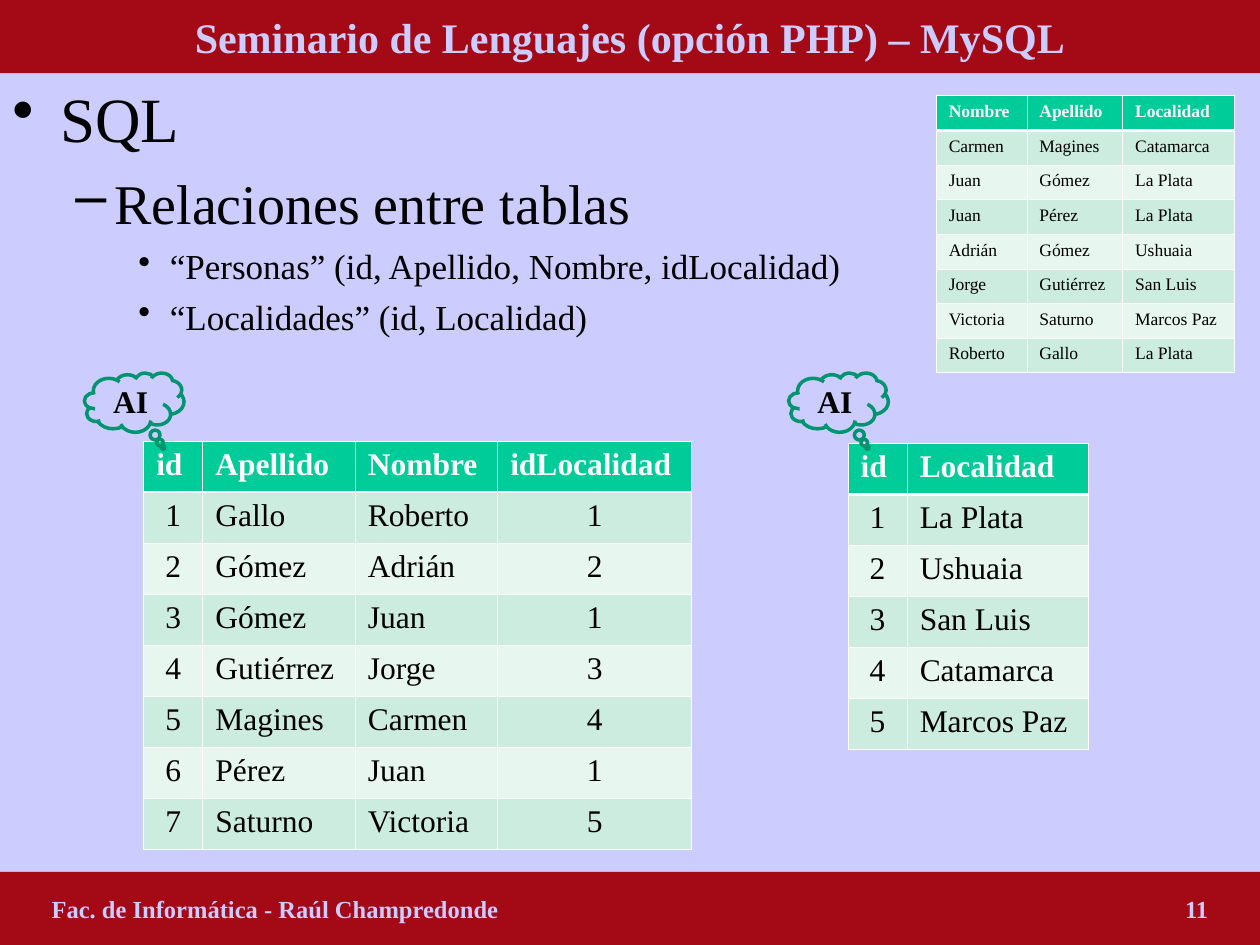
from dataclasses import dataclass

from lxml import etree
from pptx import Presentation
from pptx.dml.color import RGBColor
from pptx.enum.shapes import MSO_SHAPE
from pptx.enum.text import MSO_ANCHOR, PP_ALIGN
from pptx.oxml.ns import qn
from pptx.util import Inches, Pt

RECTANGLE, CLOUD = MSO_SHAPE.RECTANGLE, MSO_SHAPE.CLOUD_CALLOUT
MIDDLE = MSO_ANCHOR.MIDDLE
LEFT, CENTER = PP_ALIGN.LEFT, PP_ALIGN.CENTER
FONT = "Times New Roman"
COLORS = {
    "background": "CCCCFF",
    "band": "A30A16",
    "header": "00CC99",
    "odd_row": "CBECDE",
    "even_row": "E7F6EF",
    "cloud": "00956F",
    "white": "FFFFFF",
    "black": "000000",
}


@dataclass
class Bullet:
    text: str
    size: float
    char: str
    margin: float
    hanging: float
    before: float


@dataclass
class Grid:
    left: float
    top: float
    widths: list[float]
    height: float
    size: float
    centered: set[int]
    rows: list[tuple[str, ...]]


@dataclass
class Band:
    top: float
    text: str
    size: float
    align: PP_ALIGN
    inset: float


BULLETS = [
    Bullet("SQL", 36, "•", 0.38, 0.38, 0),
    Bullet("Relaciones entre tablas", 32, "–", 0.81, 0.31, 8),
    Bullet("“Personas” (id, Apellido, Nombre, idLocalidad)", 20, "•", 1.25, 0.25, 5),
    Bullet("“Localidades” (id, Localidad)", 20, "•", 1.25, 0.25, 5),
]

BANDS = [
    Band(0, "Seminario de Lenguajes (opción PHP) – MySQL", 24, CENTER, 0.1),
    Band(6.92, "Fac. de Informática - Raúl Champredonde\t11", 14, LEFT, 0.41),
]

GRIDS = [
    Grid(1.14, 3.5, [0.47, 1.21, 1.13, 1.54], 3.24, 18, {0, 3}, [
        ("id", "Apellido", "Nombre", "idLocalidad"),
        ("1", "Gallo", "Roberto", "1"),
        ("2", "Gómez", "Adrián", "2"),
        ("3", "Gómez", "Juan", "1"),
        ("4", "Gutiérrez", "Jorge", "3"),
        ("5", "Magines", "Carmen", "4"),
        ("6", "Pérez", "Juan", "1"),
        ("7", "Saturno", "Victoria", "5"),
    ]),
    Grid(6.73, 3.52, [0.47, 1.44], 2.43, 18, {0}, [
        ("id", "Localidad"),
        ("1", "La Plata"),
        ("2", "Ushuaia"),
        ("3", "San Luis"),
        ("4", "Catamarca"),
        ("5", "Marcos Paz"),
    ]),
    Grid(7.43, 0.76, [0.72, 0.76, 0.89], 2.2, 10, set(), [
        ("Nombre", "Apellido", "Localidad"),
        ("Carmen", "Magines", "Catamarca"),
        ("Juan", "Gómez", "La Plata"),
        ("Juan", "Pérez", "La Plata"),
        ("Adrián", "Gómez", "Ushuaia"),
        ("Jorge", "Gutiérrez", "San Luis"),
        ("Victoria", "Saturno", "Marcos Paz"),
        ("Roberto", "Gallo", "La Plata"),
    ]),
]


def rgb(name: str) -> RGBColor:
    return RGBColor.from_string(COLORS[name])


def style(p, size: float, color: str, bold: bool = False) -> None:
    for r in p.runs:
        r.font.name = FONT
        r.font.size = Pt(size)
        r.font.bold = bold
        r.font.color.rgb = rgb(color)


def draw_bullets(slide, bullets: list[Bullet]) -> None:
    sp = slide.shapes.add_textbox(Inches(0), Inches(0.58), Inches(10), Inches(6.33))
    tf = sp.text_frame
    tf.word_wrap = True
    tf.text = "\n".join(b.text for b in bullets)
    for p, b in zip(tf.paragraphs, bullets):
        p.space_before = Pt(b.before)
        pPr = p._p.get_or_add_pPr()
        pPr.set("marL", str(Inches(b.margin)))
        pPr.set("indent", str(-Inches(b.hanging)))
        etree.SubElement(pPr, qn("a:buChar"), char=b.char)
        style(p, b.size, "black")


def draw_band(slide, band: Band) -> None:
    sp = slide.shapes.add_shape(RECTANGLE, Inches(0), Inches(band.top), Inches(10), Inches(0.58))
    sp.shadow.inherit = False
    sp.fill.solid()
    sp.fill.fore_color.rgb = rgb("band")
    sp.line.fill.background()
    tf = sp.text_frame
    tf.vertical_anchor = MIDDLE
    tf.margin_left = tf.margin_right = Inches(band.inset)
    tf.text = band.text
    p = tf.paragraphs[0]
    p.alignment = band.align
    if "\t" in band.text:
        tabs = etree.SubElement(p._p.get_or_add_pPr(), qn("a:tabLst"))
        stop = Inches(10 - 2 * band.inset)
        etree.SubElement(tabs, qn("a:tab"), pos=str(stop), algn="r")
    style(p, band.size, "background", True)


def draw_border(cell, side: str, width: float) -> None:
    tcPr = cell._tc.get_or_add_tcPr()
    ln = etree.SubElement(tcPr, qn(f"a:ln{side}"), w=str(Pt(width)))
    fill = etree.SubElement(ln, qn("a:solidFill"))
    etree.SubElement(fill, qn("a:srgbClr"), val=COLORS["white"])


def draw_grid(slide, grid: Grid) -> None:
    count = len(grid.rows)
    table = slide.shapes.add_table(
        count, len(grid.widths), Inches(grid.left), Inches(grid.top),
        Inches(sum(grid.widths)), Inches(grid.height)).table
    for column, width in zip(table.columns, grid.widths):
        column.width = Inches(width)
    for i, row in enumerate(grid.rows):
        table.rows[i].height = Inches(grid.height / count)
        fill = "header" if i == 0 else "odd_row" if i % 2 else "even_row"
        for j, text in enumerate(row):
            cell = table.cell(i, j)
            for side in "LRTB":
                thick = (i, side) in {(0, "B"), (1, "T")}
                draw_border(cell, side, 1.47 if thick else 0.45)
            cell.fill.solid()
            cell.fill.fore_color.rgb = rgb(fill)
            cell.text_frame.text = text
            p = cell.text_frame.paragraphs[0]
            p.alignment = CENTER if i and j in grid.centered else LEFT
            style(p, grid.size, "black" if i else "white", i == 0)


def draw_cloud(slide, left: float) -> None:
    sp = slide.shapes.add_shape(CLOUD, Inches(left), Inches(2.96), Inches(0.79), Inches(0.47))
    sp.shadow.inherit = False
    sp.adjustments[0], sp.adjustments[1] = 0.29, 0.76
    sp.fill.background()
    sp.line.color.rgb = rgb("cloud")
    sp.line.width = Pt(2)
    tf = sp.text_frame
    tf.word_wrap = False
    tf.vertical_anchor = MIDDLE
    tf.text = "AI"
    p = tf.paragraphs[0]
    p.alignment = CENTER
    style(p, 18, "black", True)


def main() -> None:
    prs = Presentation()
    prs.slide_width, prs.slide_height = Inches(10), Inches(7.5)
    slide = prs.slides.add_slide(prs.slide_layouts[6])
    slide.background.fill.solid()
    slide.background.fill.fore_color.rgb = rgb("background")
    draw_bullets(slide, BULLETS)
    for band in BANDS:
        draw_band(slide, band)
    for grid in GRIDS:
        draw_grid(slide, grid)
    for left in (0.67, 6.26):
        draw_cloud(slide, left)
    prs.save("out.pptx")


if __name__ == "__main__":
    main()
